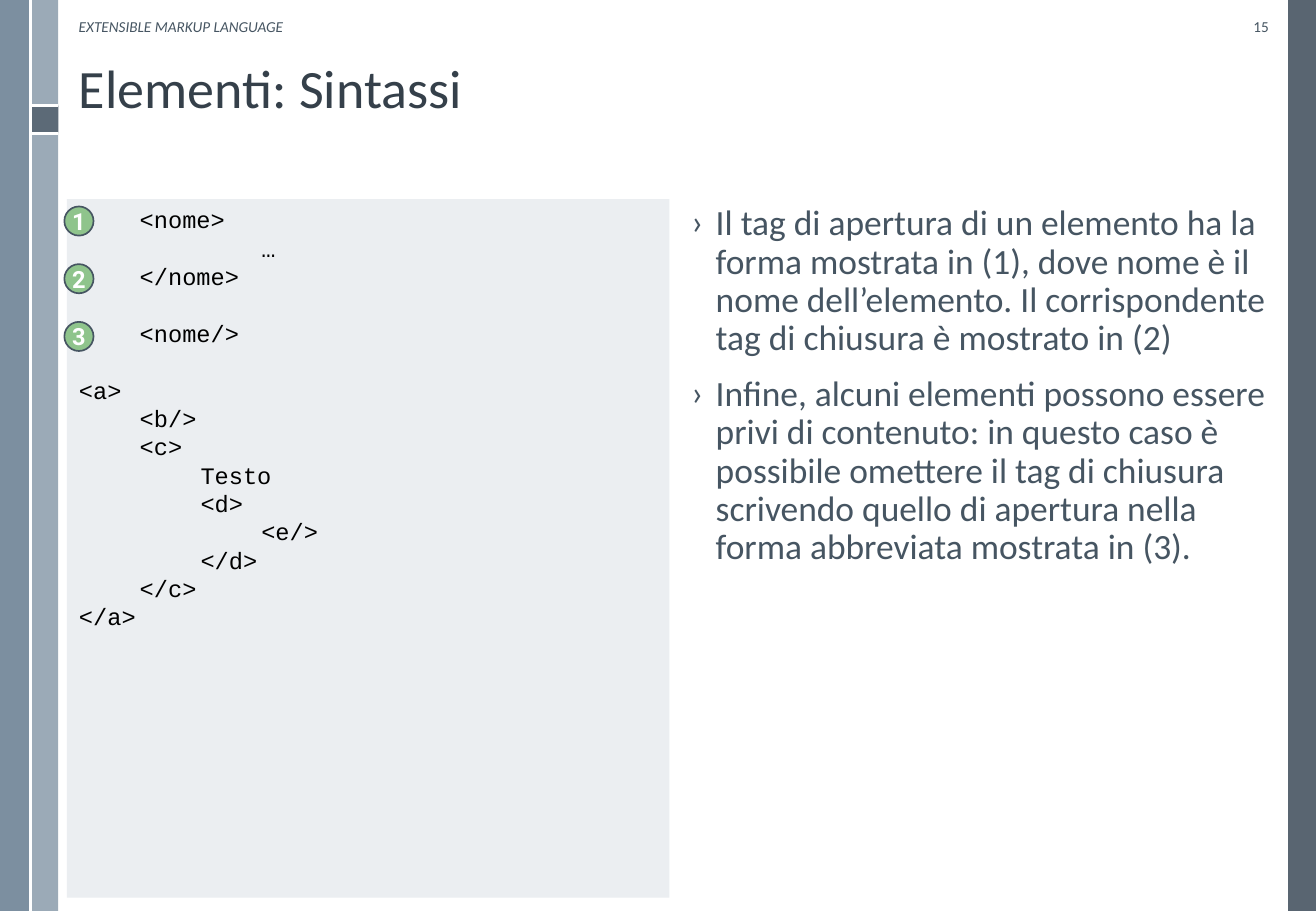
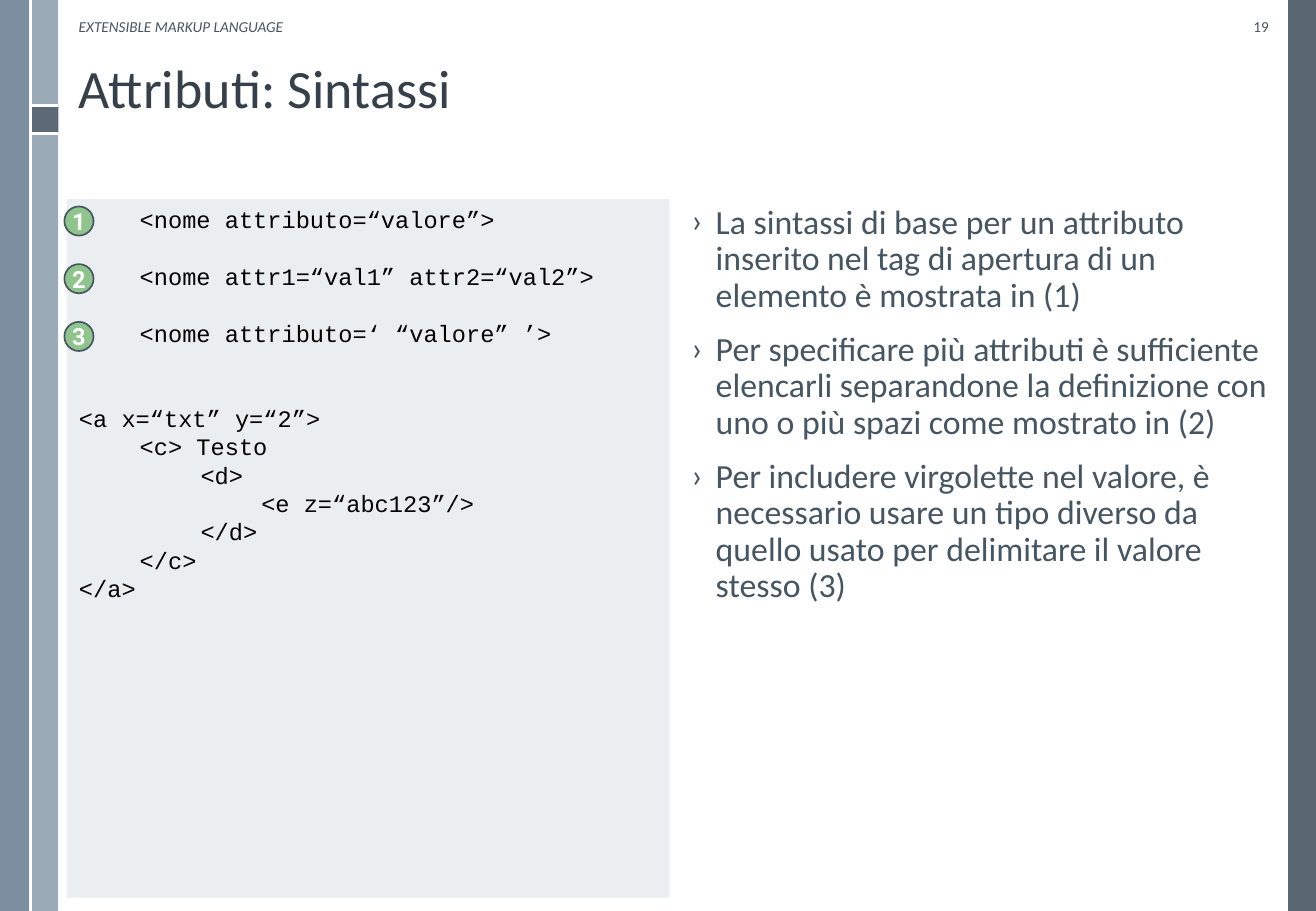
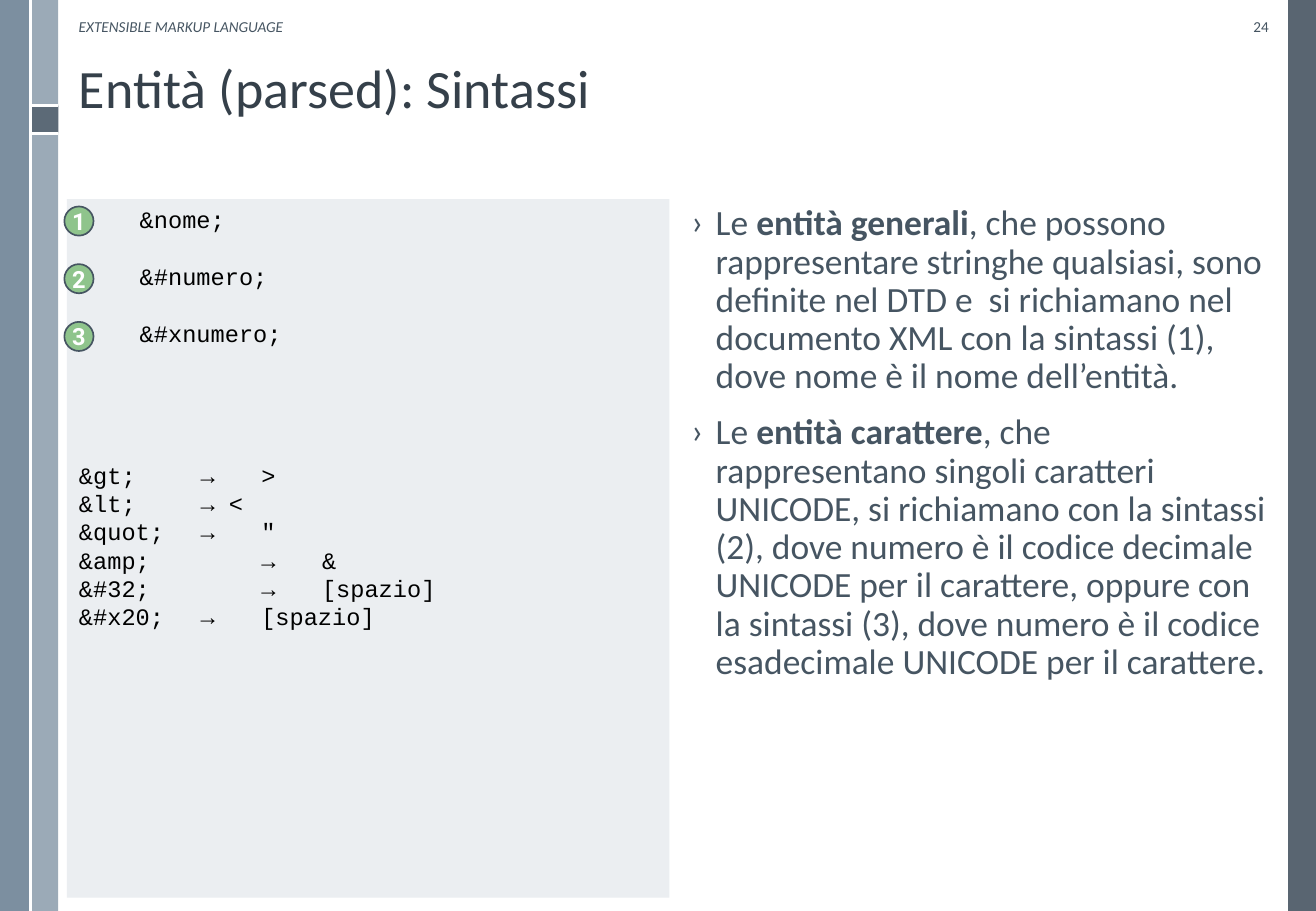
from dataclasses import dataclass

from lxml.etree import SubElement
from pptx import Presentation
from pptx.dml.color import RGBColor
from pptx.enum.shapes import MSO_CONNECTOR as Connector, MSO_SHAPE as Preset
from pptx.enum.text import MSO_ANCHOR as Anchor, MSO_AUTO_SIZE as AutoSize, PP_ALIGN as Align
from pptx.oxml.ns import qn
from pptx.util import Inches, Pt


@dataclass(frozen=True)
class Theme:
    """Colours, fonts, type sizes and spacing of the deck."""
    title: str = "35404A"
    text: str = "465562"
    code: str = "000000"
    panel: str = "EBEEF1"
    badge: str = "8FC48C"
    white: str = "FFFFFF"
    dark_band: str = "475562"
    mid_band: str = "6A8093"
    light_band: str = "9BAAB7"
    body_font: str = "Calibri"
    code_font: str = "Courier New"
    badge_font: str = "Roboto"
    title_size: float = 32
    code_size: float = 14
    code_pitch: float = 16.8
    badge_size: float = 14
    header_size: float = 9
    bullet_gap: float = 10.5
    indent: float = 0.2


THEME = Theme()
WIDTH, HEIGHT = 10.83, 7.5
HEADER = "EXTENSIBLE MARKUP LANGUAGE"
LAYOUT_BOXES = {
    0: (0.55, 0.46, 9.99, 1.09),
    1: (0.55, 1.64, 4.96, 5.75),
    2: (5.59, 1.64, 4.95, 5.75),
}
BANDS = [
    ((10.6, 0, 0.23, HEIGHT), THEME.dark_band, 90),
    ((0.25, 0, 0.23, HEIGHT), THEME.light_band, 100),
    ((0, 0, 0.25, HEIGHT), THEME.mid_band, 88),
    ((0.26, 0.87, 0.22, 0.22), THEME.dark_band, 75),
]
RULES = [(0.25, 0.87, 0.48, 0.87), (0.25, 1.1, 0.48, 1.1), (0.25, 0, 0.25, HEIGHT)]

# Empty code lines become space before the next line; ** marks bold text.
SLIDES = [
    {
        "title": "Elementi: Sintassi", "number": 15, "size": 21,
        "code": ["\t<nome>", "\t\t\t…", "\t</nome>", "", "\t<nome/>", "",
                 "<a>", "\t<b/>", "\t<c>", "\t\tTesto", "\t\t<d>", "\t\t\t<e/>",
                 "\t\t</d>", "\t</c>", "</a>"],
        "bullets": [
            "Il tag di apertura di un elemento ha la forma mostrata in (1), dove nome è il "
            "nome dell’elemento. Il corrispondente tag di chiusura è mostrato in (2)",
            "Infine, alcuni elementi possono essere privi di contenuto: in questo caso è "
            "possibile omettere il tag di chiusura scrivendo quello di apertura nella forma "
            "abbreviata mostrata in (3).",
        ],
    },
    {
        "title": "Attributi: Sintassi", "number": 19, "size": 20,
        "code": ["\t<nome attributo=“valore”>", "", "\t<nome attr1=“val1” attr2=“val2”>", "",
                 "\t<nome attributo=‘ “valore” ’>", "", "",
                 "<a x=“txt” y=“2”>", "\t<c> Testo", "\t\t<d>", "\t\t\t<e z=“abc123”/>",
                 "\t\t</d>", "\t</c>", "</a>"],
        "bullets": [
            "La sintassi di base per un attributo inserito nel tag di apertura di un elemento "
            "è mostrata in (1)",
            "Per specificare più attributi è sufficiente elencarli separandone la definizione "
            "con uno o più spazi come mostrato in (2)",
            "Per includere virgolette nel valore, è necessario usare un tipo diverso da quello "
            "usato per delimitare il valore stesso (3)",
        ],
    },
    {
        "title": "Entità (parsed): Sintassi", "number": 24, "size": 21,
        "code": ["\t&nome;", "", "\t&#numero;", "", "\t&#xnumero;", "", "", "", "",
                 "&gt;\t\t→ \t>", "&lt;\t\t→ <", "&quot;\t→ \t\"", "&amp;\t\t→ \t&",
                 "&#32;\t\t→ \t[spazio]", "&#x20;\t→ \t[spazio]"],
        "bullets": [
            "Le **entità generali**, che possono rappresentare stringhe qualsiasi, sono "
            "definite nel DTD e  si richiamano nel documento XML con la sintassi (1), dove "
            "nome è il nome dell’entità.",
            "Le **entità carattere**, che rappresentano singoli caratteri UNICODE, si "
            "richiamano con la sintassi (2), dove numero è il codice decimale UNICODE per il "
            "carattere, oppure con la sintassi (3), dove numero è il codice esadecimale "
            "UNICODE per il carattere.",
        ],
    },
]


def inches(values):
    """Convert a sequence of numbers to lengths."""
    return [Inches(value) for value in values]


def set_fill(shape, color, opacity=100):
    """Give a shape a solid fill, partly transparent if asked."""
    shape.fill.solid()
    shape.fill.fore_color.rgb = RGBColor.from_string(color)
    if opacity < 100:
        color_node = shape.element.spPr.find(".//" + qn("a:srgbClr"))
        SubElement(color_node, qn("a:alpha"), val=str(opacity * 1000))


def set_font(font, name, size, color, bold=False, italic=False):
    """Set the whole character style of a font."""
    font.name, font.size = name, Pt(size)
    font.bold, font.italic = bold, italic
    font.color.rgb = RGBColor.from_string(color)


def next_paragraph(frame, index):
    """Return the first paragraph for index 0, else a new one."""
    return frame.add_paragraph() if index else frame.paragraphs[0]


def prepare_frame(frame, anchor):
    """Fix wrapping, sizing and anchor of a text frame."""
    frame.word_wrap = True
    frame.auto_size = AutoSize.NONE
    frame.vertical_anchor = anchor


def set_indent(paragraph, left, first):
    """Set left margin and first-line indent; return the properties node."""
    properties = paragraph._p.get_or_add_pPr()
    properties.set("marL", str(Inches(left)))
    properties.set("indent", str(Inches(first)))
    return properties


def add_band(slide, box, color, opacity):
    """Add a plain rectangle of one colour."""
    band = slide.shapes.add_shape(Preset.RECTANGLE, *inches(box))
    band.shadow.inherit = False
    set_fill(band, color, opacity)
    band.line.fill.background()
    return band


def add_rule(slide, ends):
    """Add a thin white line."""
    rule = slide.shapes.add_connector(Connector.STRAIGHT, *inches(ends))
    rule.line.color.rgb = RGBColor.from_string(THEME.white)
    rule.line.width = Pt(1.5)
    SubElement(rule.element.spPr, qn("a:effectLst"))
    return rule


def decorate_master(presentation, slide):
    """Build bands and rules on a slide, then move them to the master."""
    shapes = [add_band(slide, *band) for band in BANDS]
    shapes += [add_rule(slide, ends) for ends in RULES]
    tree = presentation.slide_master.shapes.element
    for position, shape in enumerate(shapes, start=2):
        tree.insert(position, shape.element)


def place_layout(layout):
    """Move the title and body placeholders of the layout."""
    for placeholder in layout.placeholders:
        box = LAYOUT_BOXES.get(placeholder.placeholder_format.idx)
        if box:
            (placeholder.left, placeholder.top,
             placeholder.width, placeholder.height) = inches(box)


def write_title(shape, text):
    """Fill the title placeholder."""
    prepare_frame(shape.text_frame, Anchor.TOP)
    paragraph = shape.text_frame.paragraphs[0]
    paragraph.text = text
    paragraph.alignment = Align.LEFT
    paragraph.line_spacing = 0.9
    set_font(paragraph.font, THEME.body_font, THEME.title_size, THEME.title)


def add_header(slide, box, text, align=Align.LEFT, italic=False):
    """Add a small line of text at the top of the slide."""
    frame = slide.shapes.add_textbox(*inches(box)).text_frame
    prepare_frame(frame, Anchor.MIDDLE)
    paragraph = frame.paragraphs[0]
    paragraph.text = text
    paragraph.alignment = align
    set_font(paragraph.font, THEME.body_font, THEME.header_size, THEME.text, italic=italic)


def write_code(shape, lines):
    """Fill the code panel, turning empty lines into space."""
    set_fill(shape, THEME.panel)
    frame = shape.text_frame
    prepare_frame(frame, Anchor.TOP)
    written = skipped = 0
    for line in lines:
        if not line:
            skipped += 1
            continue
        paragraph = next_paragraph(frame, written)
        paragraph.text = line
        paragraph.line_spacing = Pt(THEME.code_pitch)
        paragraph.space_before = Pt(THEME.code_pitch * skipped)
        properties = set_indent(paragraph, 0, 0)
        SubElement(properties, qn("a:buNone"))
        tabs = SubElement(properties, qn("a:tabLst"))
        for stop in range(1, 7):
            SubElement(tabs, qn("a:tab"), pos=str(Inches(THEME.indent * stop)), algn="l")
        set_font(paragraph.font, THEME.code_font, THEME.code_size, THEME.code)
        written, skipped = written + 1, 0


def write_bullets(shape, bullets, size):
    """Fill the list placeholder with bulleted paragraphs."""
    frame = shape.text_frame
    prepare_frame(frame, Anchor.TOP)
    for index, bullet in enumerate(bullets):
        paragraph = next_paragraph(frame, index)
        paragraph.line_spacing = 0.9
        paragraph.space_before = Pt(THEME.bullet_gap)
        properties = set_indent(paragraph, THEME.indent, -THEME.indent)
        SubElement(properties, qn("a:buFont"), typeface=THEME.body_font)
        SubElement(properties, qn("a:buChar"), char="›")
        set_font(paragraph.font, THEME.body_font, size, THEME.text)
        for part, text in enumerate(bullet.split("**")):
            run = paragraph.add_run()
            run.text = text
            if part % 2:
                run.font.bold = True


def add_badge(slide, number):
    """Add the numbered circle beside a syntax line."""
    top = 1.7 + 0.475 * (number - 1)
    badge = slide.shapes.add_shape(Preset.OVAL, *inches((0.53, top, 0.24, 0.24)))
    badge.shadow.inherit = False
    set_fill(badge, THEME.badge)
    badge.line.color.rgb = RGBColor.from_string(THEME.text)
    badge.line.width = Pt(1)
    frame = badge.text_frame
    prepare_frame(frame, Anchor.MIDDLE)
    frame.word_wrap = False
    frame.margin_left = frame.margin_right = frame.margin_top = frame.margin_bottom = 0
    paragraph = frame.paragraphs[0]
    paragraph.text = str(number)
    paragraph.alignment = Align.CENTER
    set_font(paragraph.font, THEME.badge_font, THEME.badge_size, THEME.white, bold=True)


def add_syntax_slide(presentation, layout, content):
    """Add one slide with a code panel, its badges and a list."""
    slide = presentation.slides.add_slide(layout)
    title, code, bullets = slide.placeholders
    write_title(title, content["title"])
    write_code(code, content["code"])
    write_bullets(bullets, content["bullets"], content["size"])
    add_header(slide, (0.55, 0.06, 3.53, 0.31), HEADER, italic=True)
    add_header(slide, (9.9, 0.06, 0.64, 0.31), str(content["number"]), Align.RIGHT)
    for number in (1, 2, 3):
        add_badge(slide, number)
    return slide


def main():
    """Build and save the deck."""
    presentation = Presentation()
    presentation.slide_width, presentation.slide_height = inches((WIDTH, HEIGHT))
    layout = presentation.slide_layouts.get_by_name("Two Content")
    place_layout(layout)
    slides = [add_syntax_slide(presentation, layout, content) for content in SLIDES]
    decorate_master(presentation, slides[0])
    presentation.save("out.pptx")


main()
